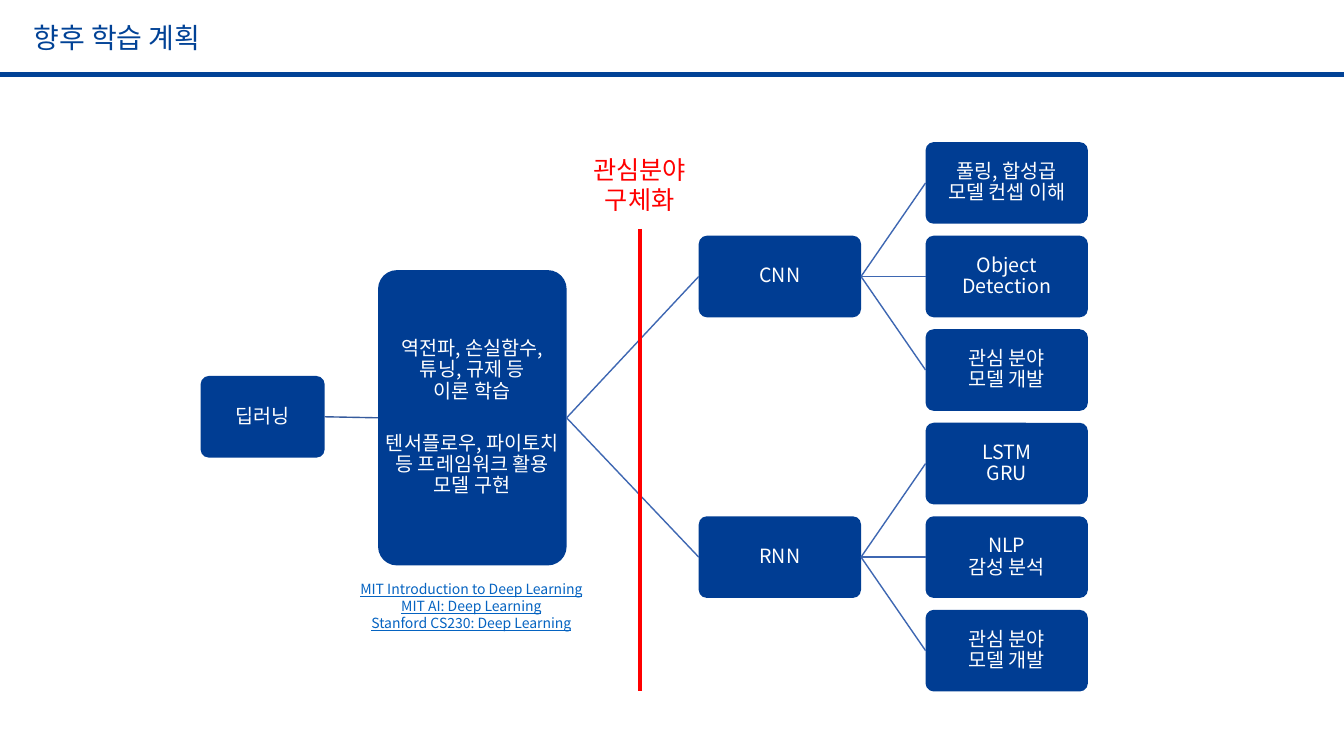
import pptx
import pptx.util
import pptx.dml.color
import pptx.enum.shapes
import pptx.enum.text
import pptx.oxml.ns
from lxml import etree

Inches, Pt = pptx.util.Inches, pptx.util.Pt
RGB = pptx.dml.color.RGBColor.from_string
qn = pptx.oxml.ns.qn
ALIGN = pptx.enum.text.PP_ALIGN
ANCHOR = pptx.enum.text.MSO_ANCHOR
STRAIGHT = pptx.enum.shapes.MSO_CONNECTOR.STRAIGHT
ROUND = pptx.enum.shapes.MSO_SHAPE.ROUNDED_RECTANGLE
FACE = "Noto Sans CJK KR"
COLORS = {"head": "014296", "box": "003D93", "stem": "365B9D", "branch": "3E67B2",
          "red": "FF0000", "link": "0563C1", "white": "FFFFFF"}


def write(shape, text, size=14, color="white", align=ALIGN.CENTER, inset=None,
          wrap=True, anchor=ANCHOR.MIDDLE, lead=1.0, after=0, gap=0, under=None):
    """Fill a shape; blank lines split paragraphs, newlines break lines."""
    frame = shape.text_frame
    frame.word_wrap = wrap
    frame.vertical_anchor = anchor
    if inset is not None:
        frame.margin_left = frame.margin_right = Inches(inset)
        frame.margin_top = frame.margin_bottom = Inches(inset)
    for i, part in enumerate(text.split("\n\n")):
        para = frame.paragraphs[0] if i == 0 else frame.add_paragraph()
        para.text = part
        para.alignment = align
        para.line_spacing = lead
        para.space_before = Pt(gap if i else 0)
        para.space_after = Pt(after)
        for run in para.runs:
            run.font.size = Pt(size)
            run.font.name = FACE
            run.font.underline = under
            run.font.color.rgb = RGB(COLORS[color])
            etree.SubElement(run.font._element, qn("a:ea"), typeface=FACE)
        for brk in para._p.findall(qn("a:br")):
            etree.SubElement(brk, qn("a:rPr"), sz=str(size * 100))


def rule(start, end, color, width):
    """Draw a line between two points, or from one box's right to the next's left."""
    joined = not isinstance(start, tuple)
    ends = (0, 0, 0, 0) if joined else [Inches(v) for v in start + end]
    line = slide.shapes.add_connector(STRAIGHT, *ends)
    if joined:
        line.begin_connect(start, 3)
        line.end_connect(end, 1)
    line.line.color.rgb = RGB(COLORS[color])
    line.line.width = Pt(width)
    etree.SubElement(line._element.spPr, qn("a:effectLst"))


deck = pptx.Presentation()
deck.slide_width, deck.slide_height = Inches(13.33), Inches(7.5)
slide = deck.slides.add_slide(deck.slide_layouts[5])

# Title and header rule
title = slide.shapes.title
title.left, title.top = Inches(0.23), Inches(0.15)
title.width, title.height = Inches(1.94), Inches(0.44)
write(title, "향후 학습 계획", size=20, color="head", align=ALIGN.LEFT, wrap=False)
rule((0, 0.74), (13.33, 0.74), "head", 3)

# Tree boxes: leaves share one pitch, each branch sits level with its middle leaf
TOP, HIGH, WIDE = 1.41, 0.81, 1.61
STEP = (6.05 - TOP) / 5
theory = ("역전파, 손실함수, 튜닝, 규제 등\n이론 학습\n\n"
          "텐서플로우, 파이토치 등 프레임워크 활용 모델 구현")
spots = [("딥러닝", 1.99, 3.73, 1.23, HIGH), (theory, 3.75, 2.68, 1.87, 2.93)]
leaves = [
    ("CNN", ["풀링, 합성곱\n모델 컨셉 이해", "Object\nDetection", "관심 분야\n모델 개발"]),
    ("RNN", ["LSTM\nGRU", "NLP\n감성 분석", "관심 분야\n모델 개발"]),
]
for b, (name, kids) in enumerate(leaves):
    spots.append((name, 6.93, TOP + STEP * (3 * b + 1), WIDE, HIGH))
    for k, kid in enumerate(kids):
        spots.append((kid, 9.18, TOP + STEP * (3 * b + k), WIDE, HIGH))

boxes = []
for text, left, top, wide, high in spots:
    box = slide.shapes.add_shape(ROUND, Inches(left), Inches(top), Inches(wide), Inches(high))
    box.adjustments[0] = 0.1
    box.shadow.inherit = False
    box.fill.solid()
    box.fill.fore_color.rgb = RGB(COLORS["box"])
    box.line.fill.background()
    write(box, text, inset=0.01, lead=0.9, after=5, gap=17)
    boxes.append(box)

# Tree links
root, core = boxes[:2]
rule(root, core, "stem", 1)
for first in (2, 6):
    rule(core, boxes[first], "branch", 1)
    for leaf in boxes[first + 1:first + 4]:
        rule(boxes[first], leaf, "branch", 1)

# Red divider
rule((6.35, 2.27), (6.35, 6.86), "red", 3)

# Divider label and course list
notes = [
    ("관심분야\n\n구체화", (5.77, 1.48, 1.15, 0.71), 18, "red", None),
    ("MIT Introduction to Deep Learning\n\nMIT AI: Deep Learning\nStanford CS230: Deep Learning",
     (3.46, 5.71, 2.43, 0.61), 10, "link", True),
]
for text, place, size, color, under in notes:
    note = slide.shapes.add_textbox(*[Inches(v) for v in place])
    write(note, text, size=size, color=color, under=under, wrap=False, anchor=ANCHOR.TOP)

deck.save("out.pptx")
